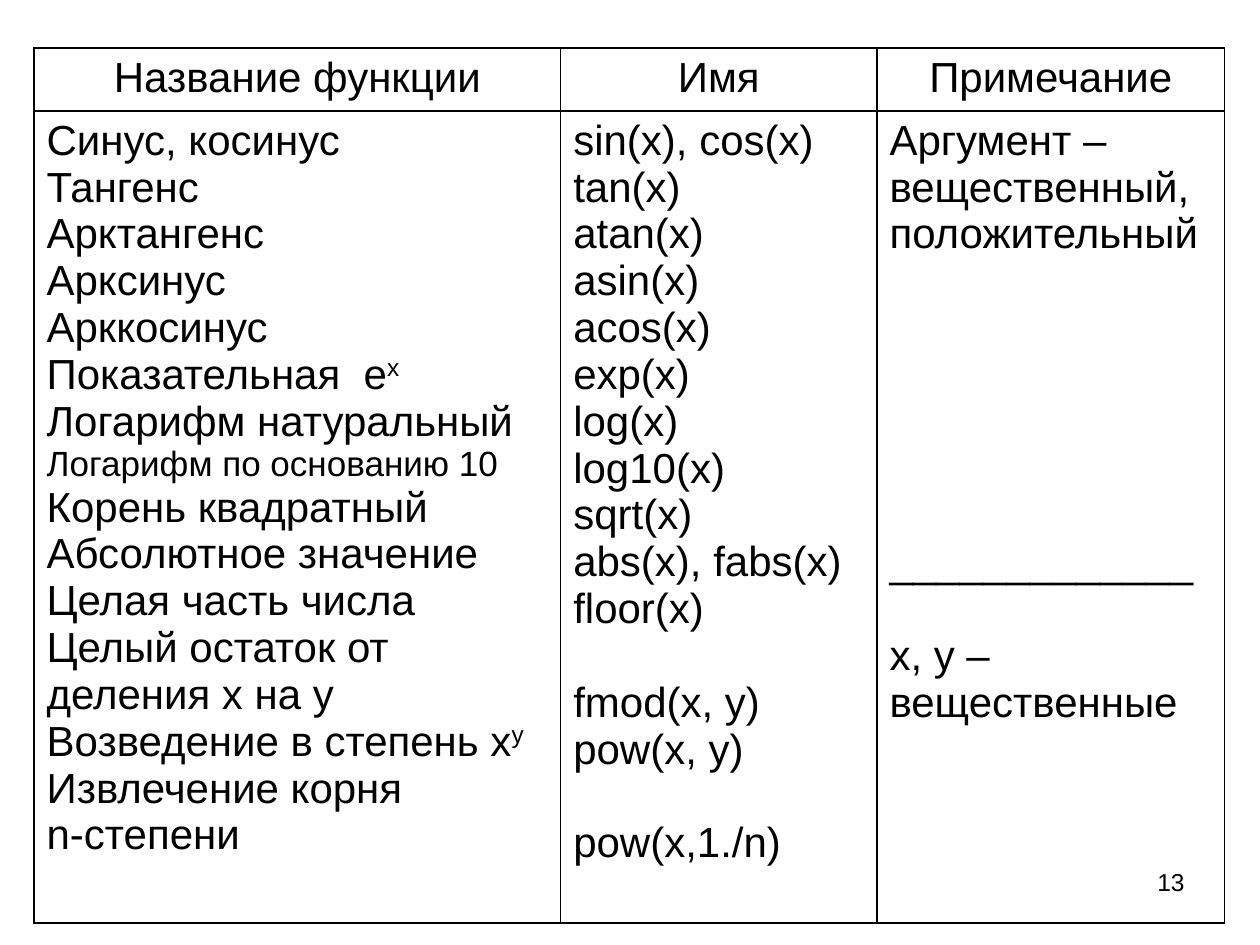
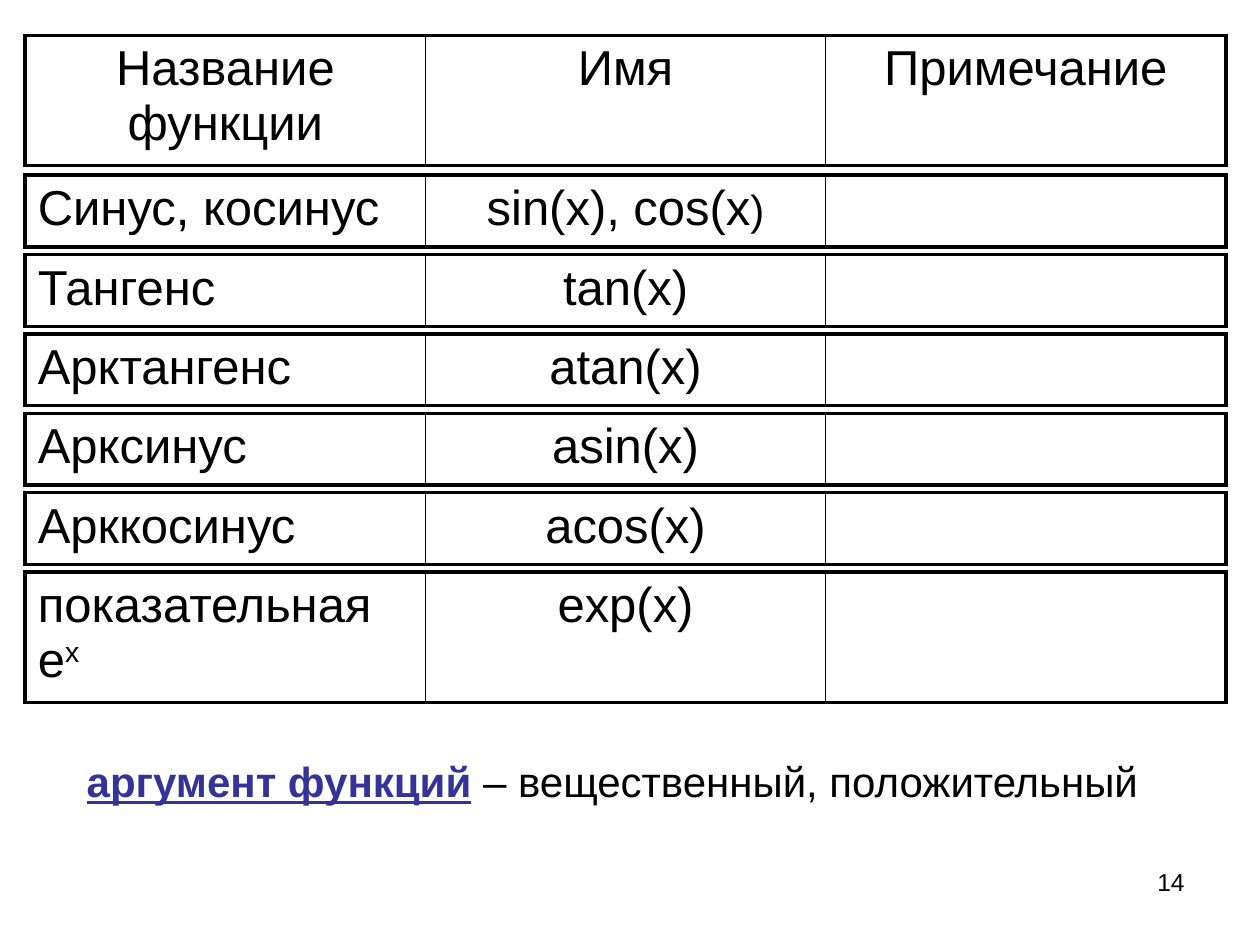
from dataclasses import dataclass

from lxml.etree import SubElement
from pptx import Presentation
from pptx.dml.color import RGBColor
from pptx.enum.text import PP_ALIGN as Align
from pptx.oxml.ns import qn
from pptx.util import Inches, Pt

FONT = "Arial"
BLACK = "000000"
ACCENT = "333399"
LINE_HEIGHT = 1.117
HEADINGS = ["Название функции", "Имя", "Примечание"]


@dataclass
class Line:
    text: str
    size: float = 0
    tail: str = ""
    tail_size: float = 0
    raised: bool = False
    skipped_lines: int = 0


FUNCTION_TITLES = [
    "Синус, косинус",
    "Тангенс",
    "Арктангенс",
    "Арксинус",
    "Арккосинус",
    Line("Показательная  e", tail="x", raised=True),
    "Логарифм натуральный",
    Line("Логарифм по основанию 10", size=20),
    "Корень квадратный",
    "Абсолютное значение",
    "Целая часть числа",
    "Целый остаток от деления х на у",
    Line("Возведение в степень x", tail="y", raised=True),
    "Извлечение корня \vn-степени",
]
FUNCTION_NAMES = [
    "sin(x), cos(x)", "tan(x)", "atan(x)", "asin(x)", "acos(x)", "exp(x)",
    "log(x)", "log10(x)", "sqrt(x)", "abs(x), fabs(x)", "floor(x)",
    Line("fmod(x, y)", skipped_lines=1),
    "pow(x, y)",
    Line("pow(x,1./n)", skipped_lines=1),
]
NOTES = [
    "Аргумент – вещественный, положительный",
    Line("_" * 13, skipped_lines=6),
    Line("x, y – вещественные", skipped_lines=1),
]
STRIPS = [
    ("Синус, косинус", Line("sin(x), cos(x", tail=")", tail_size=24)),
    ("Тангенс", "tan(x)"),
    ("Арктангенс", "atan(x)"),
    ("Арксинус", "asin(x)"),
    ("Арккосинус", "acos(x)"),
    (Line("показательная е", tail="х", raised=True), "exp(x)"),
]


def rgb(color):
    return RGBColor.from_string(color)


def format_run(run, size, color=BLACK, bold=False, underline=False):
    run.font.name = FONT
    run.font.size = Pt(size)
    run.font.color.rgb = rgb(color)
    run.font.bold = bold
    run.font.underline = underline


def write_line(paragraph, line, size, align):
    if isinstance(line, str):
        line = Line(line)
    paragraph.text = line.text
    paragraph.alignment = align
    paragraph.space_before = Pt(round(line.skipped_lines * size * LINE_HEIGHT, 1))
    for run in paragraph.runs:
        format_run(run, line.size or size)
    if line.tail:
        tail = paragraph.add_run()
        tail.text = line.tail
        format_run(tail, line.tail_size or size)
        if line.raised:
            tail.font._element.set("baseline", "30000")


def fill_cell(cell, lines, size, align):
    text_frame = cell.text_frame
    for index, line in enumerate(lines):
        paragraph = text_frame.add_paragraph() if index else text_frame.paragraphs[0]
        write_line(paragraph, line, size, align)


def draw_borders(cell, widths):
    properties = cell._tc.get_or_add_tcPr()
    for side, width in zip("LRTB", widths):
        border = SubElement(properties, qn(f"a:ln{side}"), w=str(Pt(width)))
        solid = SubElement(border, qn("a:solidFill"))
        SubElement(solid, qn("a:srgbClr"), val=BLACK)
    cell.fill.background()


def add_grid(slide, left, top, columns, heights, rows, aligns, size, frame_width):
    table = slide.shapes.add_table(
        len(heights), len(columns), Inches(left), Inches(top),
        Inches(sum(columns)), Inches(sum(heights))).table
    table.first_row = table.horz_banding = False
    for column, width in zip(table.columns, columns):
        column.width = Inches(width)
    last_row, last_column = len(heights) - 1, len(columns) - 1
    for r, (height, row, row_aligns) in enumerate(zip(heights, rows, aligns)):
        table.rows[r].height = Inches(height)
        for c, (lines, align) in enumerate(zip(row, row_aligns)):
            cell = table.cell(r, c)
            on_frame = (c == 0, c == last_column, r == 0, r == last_row)
            draw_borders(cell, [frame_width if edge else 1 for edge in on_frame])
            fill_cell(cell, lines, size, align)


def add_text(slide, left, top, width, height, text):
    box = slide.shapes.add_textbox(
        Inches(left), Inches(top), Inches(width), Inches(height))
    box.text_frame.word_wrap = True
    paragraph = box.text_frame.paragraphs[0]
    paragraph.text = text
    return paragraph


def add_numbered_slide(presentation, number):
    slide = presentation.slides.add_slide(presentation.slide_layouts[6])
    paragraph = add_text(slide, 7.17, 6.83, 2.33, 0.52, str(number))
    paragraph.alignment = Align.RIGHT
    format_run(paragraph.runs[0], 14)
    return slide


def build_reference_slide(presentation):
    slide = add_numbered_slide(presentation, 13)
    rows = [[[heading] for heading in HEADINGS],
            [FUNCTION_TITLES, FUNCTION_NAMES, NOTES]]
    aligns = [[Align.CENTER] * 3, [Align.LEFT] * 3]
    add_grid(slide, 0.27, 0.38, [4.18, 2.51, 2.76], [0.47, 6.04],
             rows, aligns, 24, 1)


def add_strip(slide, top, height, cells, aligns):
    add_grid(slide, 0.2, top, [9.53 / 3] * 3, [height], [cells], [aligns], 28, 2.25)


def build_strips_slide(presentation):
    slide = add_numbered_slide(presentation, 14)
    tall, short, first_top, pitch = 1.03, 0.57, 1.39, 0.63
    add_strip(slide, 0.28, tall, [[heading] for heading in HEADINGS],
              [Align.CENTER] * 3)
    for index, (title, name) in enumerate(STRIPS):
        height = tall if index == len(STRIPS) - 1 else short
        add_strip(slide, first_top + index * pitch, height, [[title], [name], []],
                  [Align.LEFT, Align.CENTER, Align.LEFT])
    paragraph = add_text(slide, 0.59, 5.95, 9.37, 0.5, "аргумент функций")
    format_run(paragraph.runs[0], 24, ACCENT, bold=True, underline=True)
    explanation = paragraph.add_run()
    explanation.text = " – вещественный, положительный"
    format_run(explanation, 24)


def main():
    presentation = Presentation()
    presentation.slide_width = Inches(10)
    presentation.slide_height = Inches(7.5)
    build_reference_slide(presentation)
    build_strips_slide(presentation)
    presentation.save("out.pptx")


if __name__ == "__main__":
    main()
